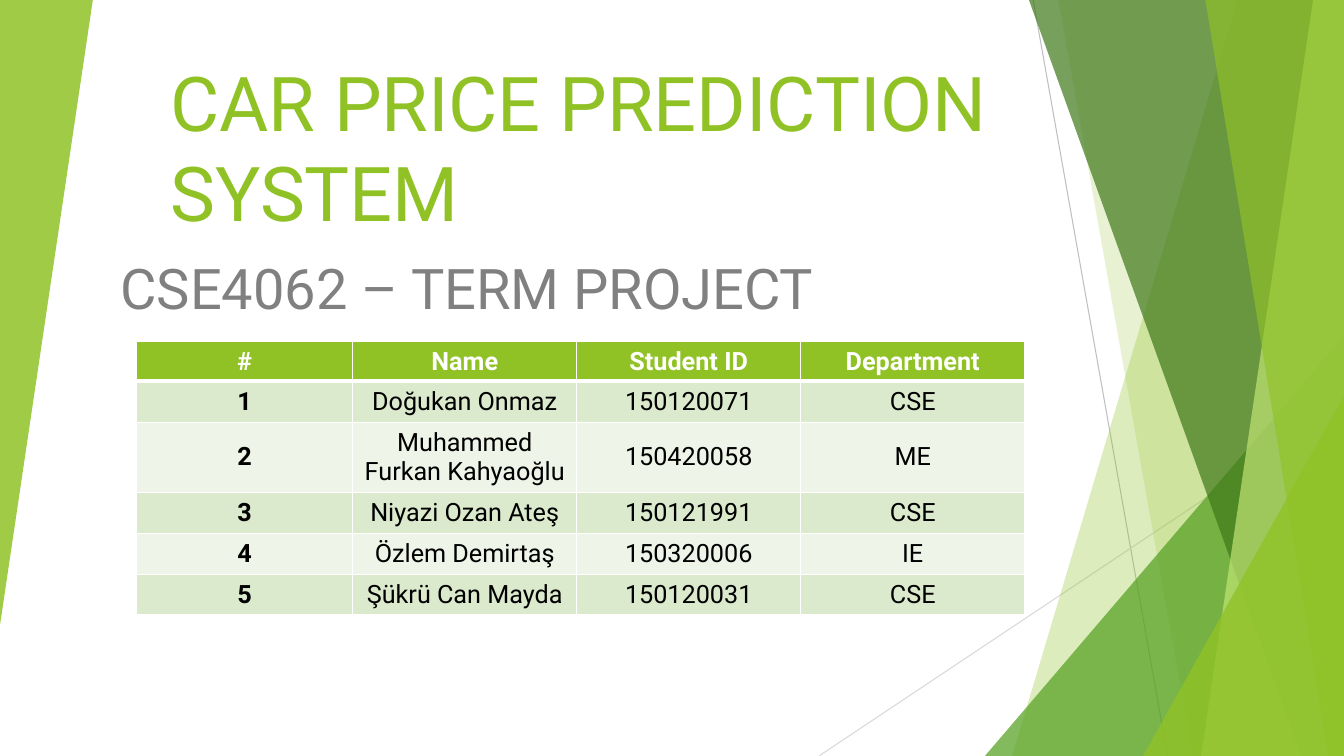
from collections import namedtuple
from dataclasses import dataclass

from lxml.etree import SubElement
from pptx import Presentation
from pptx.dml.color import RGBColor
from pptx.enum.shapes import MSO_CONNECTOR as Connector, MSO_SHAPE as Preset
from pptx.enum.text import MSO_ANCHOR as Anchor, MSO_AUTO_SIZE as AutoSize, PP_ALIGN as Align
from pptx.oxml.ns import qn
from pptx.util import Pt

Box = namedtuple("Box", "left top width height")


@dataclass(frozen=True)
class Theme:
    font: str = "Roboto"
    green: str = "90C226"
    leaf: str = "54A021"
    forest: str = "3F7819"
    lime: str = "C0E474"
    gray: str = "808080"
    line_dark: str = "BFBFBF"
    line_light: str = "D9D9D9"
    white: str = "FFFFFF"
    black: str = "000000"
    bands: tuple = ("DBE9CD", "EEF4E8")
    title_size: int = 54
    subtitle_size: int = 40
    table_size: int = 18


THEME = Theme()
SLIDE = Box(0, 0, 960, 540)
COLUMN_WIDTHS = (154.5, 160, 160, 160)
ROW_HEIGHTS = (27.4, 29.2, 50.2, 29.2, 29.2, 29.2)
HEADER = ("#", "Name", "Student ID", "Department")
STUDENTS = (
    ("Doğukan Onmaz", "150120071", "CSE"),
    ("Muhammed Furkan Kahyaoğlu", "150420058", "ME"),
    ("Niyazi Ozan Ateş", "150121991", "CSE"),
    ("Özlem Demirtaş", "150320006", "IE"),
    ("Şükrü Can Mayda", "150120031", "CSE"),
)


def paint(shape, color, opacity):
    shape.shadow.inherit = False
    shape.fill.solid()
    shape.fill.fore_color.rgb = RGBColor.from_string(color)
    color_element = shape.fill._xPr.find(qn("a:solidFill"))[0]
    SubElement(color_element, qn("a:alpha"), val=str(opacity * 1000))
    shape.line.fill.background()


def add_hairline(shapes, start, end, color):
    line = shapes.add_connector(Connector.STRAIGHT, *map(Pt, start + end))
    line.line.color.rgb = RGBColor.from_string(color)
    line.line.width = Pt(0.75)
    SubElement(line.element.spPr, qn("a:effectLst"))


def add_ribbon(shapes, box, top_x, bottom_x, color, opacity):
    """Fill the box from a slanted left edge to its right side."""
    right, bottom = box.left + box.width, box.top + box.height
    builder = shapes.build_freeform(Pt(box.left + top_x), Pt(box.top))
    corners = ((right, box.top), (right, bottom), (box.left + bottom_x, bottom))
    builder.add_line_segments([(Pt(x), Pt(y)) for x, y in corners], close=True)
    paint(builder.convert_to_shape(), color, opacity)


def add_wedge(shapes, box, color, opacity, rotation=0):
    wedge = shapes.add_shape(Preset.ISOSCELES_TRIANGLE, *map(Pt, box))
    wedge.adjustments[0] = 1
    wedge.rotation = rotation
    paint(wedge, color, opacity)


def add_corner_wedge(shapes, box, x, y, color, opacity):
    corner = Box(box.left + x, box.top + y, box.width - x, box.height - y)
    add_wedge(shapes, corner, color, opacity)


def add_facets(shapes, box):
    """Right-hand panel of overlapping translucent facets."""
    left, top, width, height = box
    add_hairline(shapes, (left + 153, top), (left + 249, top + height), THEME.line_dark)
    add_hairline(shapes, (left + width, top + 290), (left, top + height), THEME.line_light)
    add_ribbon(shapes, box, 299, 138, THEME.green, 30)
    add_ribbon(shapes, box, 171, 267, THEME.green, 20)
    add_corner_wedge(shapes, box, 118.5, 240, THEME.leaf, 72)
    add_ribbon(shapes, box, 150, 344.5, THEME.forest, 70)
    add_ribbon(shapes, box, 353, 273, THEME.lime, 70)
    add_ribbon(shapes, box, 276, 364, THEME.green, 65)
    add_corner_wedge(shapes, box, 231.5, 283, THEME.green, 80)


def add_backdrop(slide, box):
    backdrop = slide.shapes.add_group_shape()
    panel_width = 375
    panel_left = box.left + box.width - panel_width
    add_facets(backdrop.shapes, Box(panel_left, box.top, panel_width, box.height))
    add_wedge(backdrop.shapes, Box(box.left, box.top, 66.3, 446.4), THEME.green, 85, 180)
    # Send the decoration behind the text
    slide.shapes.title.element.addprevious(backdrop.element)


def style_text(text_frame, size, color, align, bold=False):
    for paragraph in text_frame.paragraphs:
        paragraph.alignment = align
        for run in paragraph.runs:
            run.font.name = THEME.font
            run.font.size = Pt(size)
            run.font.bold = bold
            run.font.color.rgb = RGBColor.from_string(color)


def fill_placeholder(shape, box, text, size, color, align, anchor):
    shape.left, shape.top, shape.width, shape.height = map(Pt, box)
    text_frame = shape.text_frame
    text_frame.text = text
    text_frame.word_wrap = True
    text_frame.auto_size = AutoSize.NONE
    text_frame.vertical_anchor = anchor
    style_text(text_frame, size, color, align)


def set_borders(cell, top, bottom):
    properties = cell._tc.get_or_add_tcPr()
    for side, width in (("L", 1), ("R", 1), ("T", top), ("B", bottom)):
        line = SubElement(properties, qn(f"a:ln{side}"), w=str(Pt(width)))
        fill = SubElement(line, qn("a:solidFill"))
        SubElement(fill, qn("a:srgbClr"), val=THEME.white)


def add_student_table(slide, box):
    rows = [HEADER] + [(str(number), *student) for number, student in enumerate(STUDENTS, 1)]
    frame = slide.shapes.add_table(len(rows), len(HEADER), *map(Pt, box))
    table = frame.table
    for column, width in zip(table.columns, COLUMN_WIDTHS):
        column.width = Pt(width)
    for row, height in zip(table.rows, ROW_HEIGHTS):
        row.height = Pt(height)

    for row_index, row in enumerate(rows):
        is_header = row_index == 0
        background = THEME.green if is_header else THEME.bands[(row_index - 1) % 2]
        color = THEME.white if is_header else THEME.black
        for column_index, text in enumerate(row):
            cell = table.cell(row_index, column_index)
            cell.text = text
            cell.vertical_anchor = Anchor.MIDDLE
            set_borders(cell, 3 if row_index == 1 else 1, 3 if is_header else 1)
            cell.fill.solid()
            cell.fill.fore_color.rgb = RGBColor.from_string(background)
            bold = is_header or column_index == 0
            style_text(cell.text_frame, THEME.table_size, color, Align.CENTER, bold)


def add_cover_slide(presentation, box):
    slide = presentation.slides.add_slide(presentation.slide_layouts[0])
    add_backdrop(slide, box)

    # Title and subtitle
    fill_placeholder(slide.shapes.title, Box(box.left + 114.5, box.top + 27.4, 720, 145.4),
                     "CAR PRICE PREDICTION SYSTEM", THEME.title_size, THEME.green,
                     Align.LEFT, Anchor.BOTTOM)
    subtitle = slide.placeholders[1]
    fill_placeholder(subtitle, Box(box.left - 131.8, box.top + 177.8, 720, 80),
                     "CSE4062 – TERM PROJECT", THEME.subtitle_size, THEME.gray,
                     Align.RIGHT, Anchor.TOP)
    subtitle.text_frame.paragraphs[0].space_before = Pt(10)

    # Team members
    add_student_table(slide, Box(box.left + 97.5, box.top + 244, sum(COLUMN_WIDTHS), sum(ROW_HEIGHTS)))


def main():
    presentation = Presentation()
    presentation.slide_width, presentation.slide_height = Pt(SLIDE.width), Pt(SLIDE.height)
    add_cover_slide(presentation, SLIDE)
    presentation.save("out.pptx")


if __name__ == "__main__":
    main()
